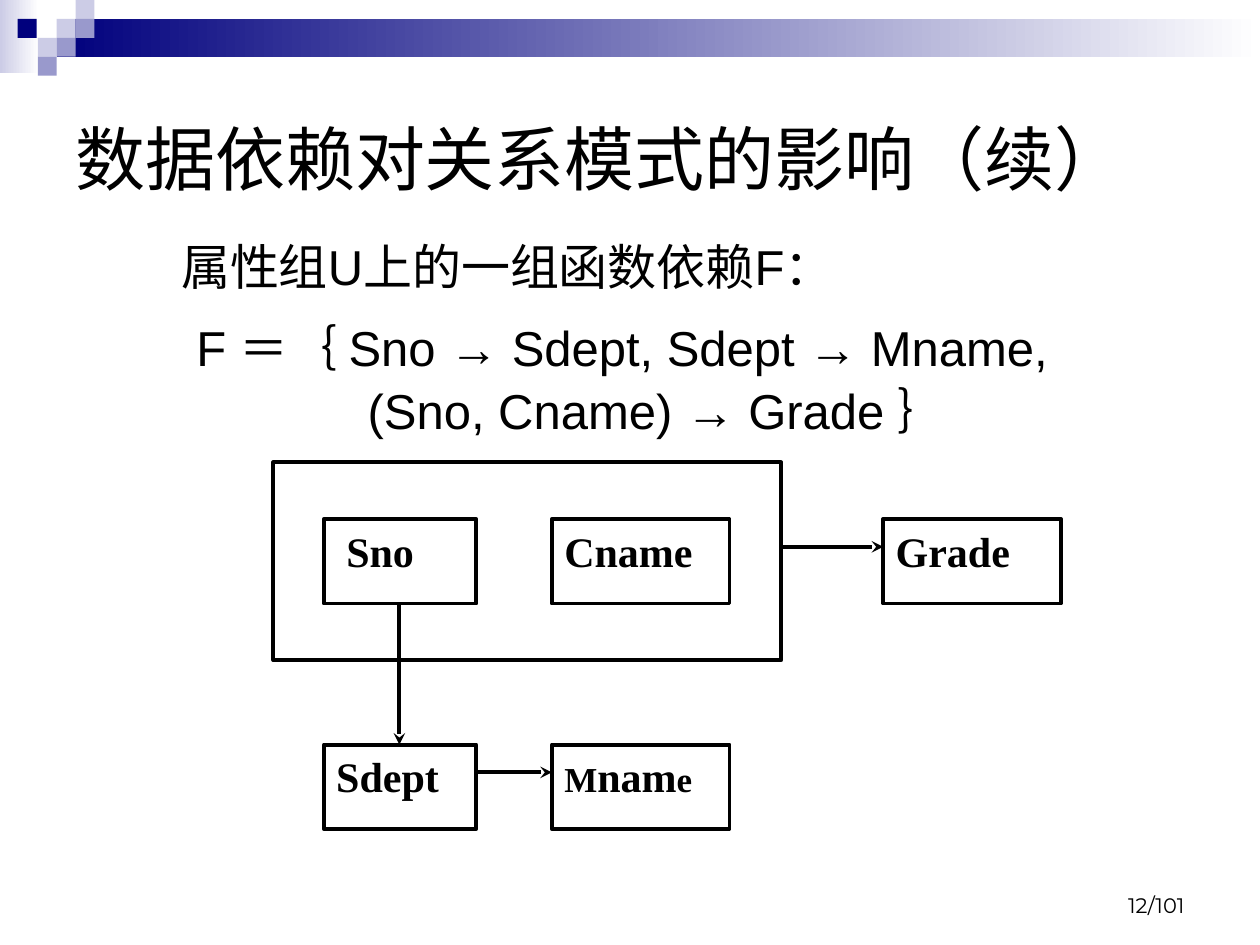
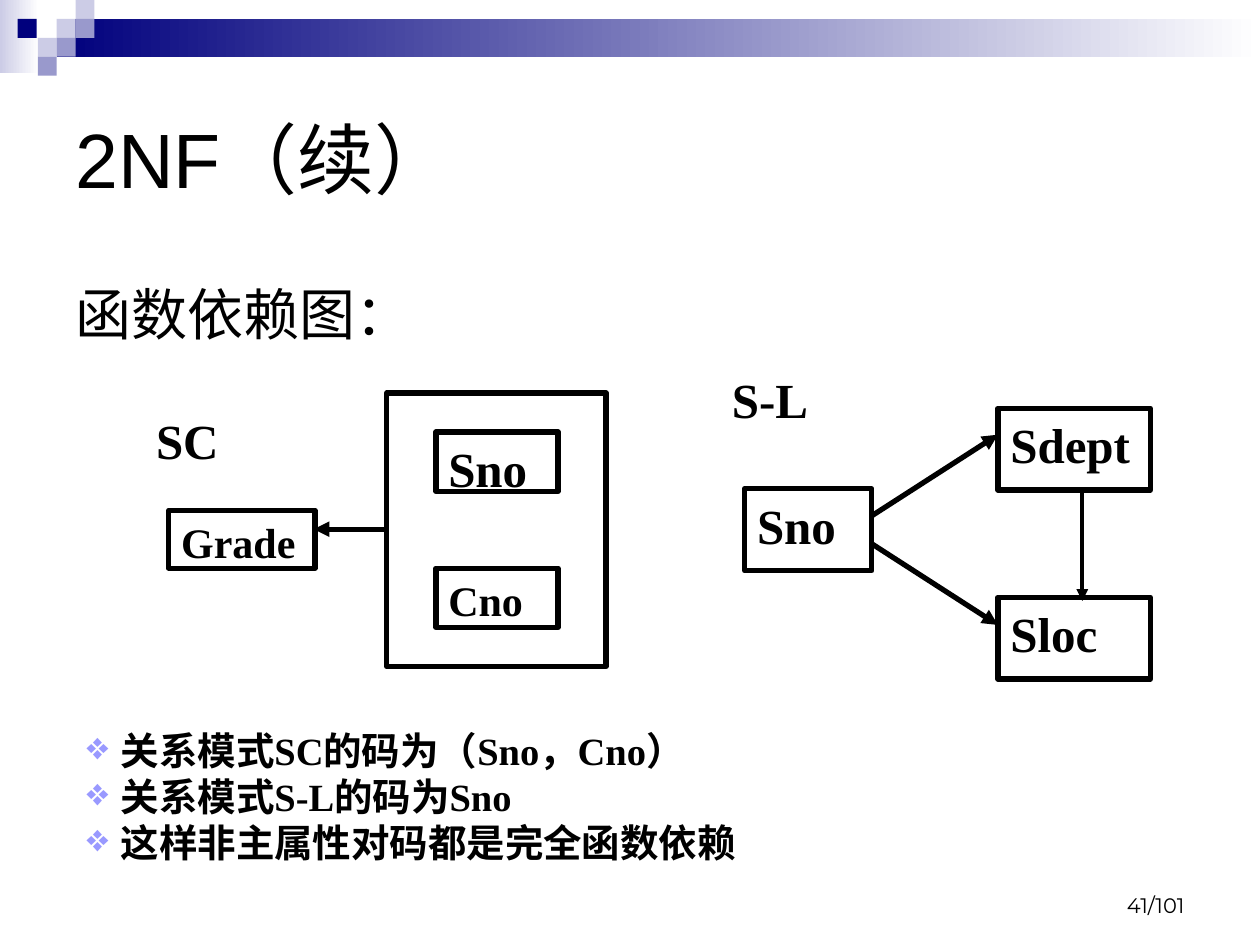
from lxml.etree import SubElement
from pptx import Presentation
from pptx.dml.color import RGBColor
from pptx.enum.shapes import MSO_CONNECTOR, MSO_SHAPE
from pptx.enum.text import MSO_ANCHOR, PP_ALIGN
from pptx.oxml.ns import qn
from pptx.util import Inches, Pt

COLORS = {
    "text": "000000",
    "navy": "00007D",
    "lavender": "CCCCE6",
    "violet": "9999CC",
    "bullet": "9999FF",
    "paper": "FFFFFF",
}
TILE = 0.15
TILES = [
    (0.45, 0.15, "lavender"),
    (0.6, 0, "lavender"),
    (0.6, 0.15, "violet"),
    (0.3, 0.3, "lavender"),
    (0.14, 0.15, "navy"),
    (0.45, 0.3, "violet"),
    (0.3, 0.45, "violet"),
]
TITLE_AREA = (0.5, 0.5, 9, 1.5)
NUMBER_AREA = (7.17, 6.83, 2.33, 0.5)
BODY_FONT = {"name": "Arial", "size": Pt(28)}
LABEL_FONT = {"name": "Times New Roman", "size": Pt(28), "bold": True}
SMALL_LABEL_FONT = LABEL_FONT | {"size": Pt(24)}
LIST_FONT = LABEL_FONT | {"size": Pt(22)}
NUMBER_FONT = {"name": "Montserrat", "size": Pt(12)}
JUSTIFIED = {"alignment": PP_ALIGN.JUSTIFY}


def color(name):
    return RGBColor.from_string(COLORS[name])


def apply_format(target, values):
    for attribute, value in values.items():
        setattr(target, attribute, value)


def set_indent(paragraph, left, hanging=0):
    properties = paragraph._p.get_or_add_pPr()
    properties.set("marL", str(Inches(left)))
    properties.set("indent", str(-Inches(hanging)))


def write_paragraph(paragraph, runs, paragraph_format=None):
    apply_format(paragraph, paragraph_format or {})
    for text, font_format in runs:
        run = paragraph.add_run()
        run.text = text
        apply_format(run.font, font_format)
        run.font.color.rgb = color("text")


def add_bullet(paragraph, symbol):
    set_indent(paragraph, 0.27, 0.27)
    properties = paragraph._p.get_or_add_pPr()
    bullet_color = SubElement(properties, qn("a:buClr"))
    SubElement(bullet_color, qn("a:srgbClr"), val=COLORS["bullet"])
    SubElement(properties, qn("a:buChar"), char=symbol)


def add_text_frame(slide, area, anchor=MSO_ANCHOR.TOP):
    frame = slide.shapes.add_textbox(*map(Inches, area)).text_frame
    apply_format(frame, {"word_wrap": True, "vertical_anchor": anchor})
    return frame


def add_text(slide, area, text, font, anchor=MSO_ANCHOR.TOP, paragraph_format=None):
    frame = add_text_frame(slide, area, anchor)
    write_paragraph(frame.paragraphs[0], [(text, font)], paragraph_format)


def add_rectangle(slide, area):
    shape = slide.shapes.add_shape(MSO_SHAPE.RECTANGLE, *map(Inches, area))
    shape.shadow.inherit = False
    return shape


def add_filled(slide, area, start, end=None):
    shape = add_rectangle(slide, area)
    shape.line.fill.background()
    if end is None:
        shape.fill.solid()
        shape.fill.fore_color.rgb = color(start)
        return
    shape.fill.gradient()
    shape.fill.gradient_angle = 0
    for stop, name in zip(shape.fill.gradient_stops, (start, end)):
        stop.color.rgb = color(name)


def add_box(slide, area, width, runs=(), indent=0):
    shape = add_rectangle(slide, area)
    shape.fill.background()
    shape.line.color.rgb = color("text")
    shape.line.width = Pt(width)
    shape.text_frame.vertical_anchor = MSO_ANCHOR.TOP
    paragraph = shape.text_frame.paragraphs[0]
    write_paragraph(paragraph, runs, JUSTIFIED)
    if indent:
        set_indent(paragraph, indent)


def add_arrow(slide, start, end, width, head):
    points = map(Inches, (*start, *end))
    connector = slide.shapes.add_connector(MSO_CONNECTOR.STRAIGHT, *points)
    connector.line.color.rgb = color("text")
    connector.line.width = Pt(width)
    SubElement(connector.line._get_or_add_ln(), qn("a:tailEnd"), type=head)
    SubElement(connector._element.spPr, qn("a:effectLst"))


def add_base_slide(presentation, title, title_size, number):
    slide = presentation.slides.add_slide(presentation.slide_layouts[6])
    add_filled(slide, (0, 0, 0.31, 0.58), "lavender", "paper")
    add_filled(slide, (0.45, 0.15, 9.55, 0.3), "navy", "paper")
    for left, top, name in TILES:
        add_filled(slide, (left, top, TILE, TILE), name)
    title_font = {"name": "Arial", "size": Pt(title_size)}
    add_text(slide, TITLE_AREA, title, title_font, MSO_ANCHOR.MIDDLE)
    add_text(slide, NUMBER_AREA, number, NUMBER_FONT, MSO_ANCHOR.BOTTOM,
             {"alignment": PP_ALIGN.RIGHT})
    return slide


def add_dependency_set(slide):
    lines = [
        ("属性组U上的一组函数依赖F：", 0.26, {"space_before": Pt(5.6)}),
        ("F ＝｛ Sno → Sdept, Sdept → Mname,", 0.38,
         {"space_before": Pt(5.6), "line_spacing": 1.2}),
        ("(Sno, Cname) → Grade ｝", 1.74, {"space_before": Pt(2.8)}),
    ]
    frame = add_text_frame(slide, (1.08, 1.83, 8.5, 4.5))
    for index, (text, indent, paragraph_format) in enumerate(lines):
        paragraph = frame.add_paragraph() if index else frame.paragraphs[0]
        write_paragraph(paragraph, [(text, BODY_FONT)], paragraph_format)
        set_indent(paragraph, indent)


def add_attribute_diagram(slide):
    line_width, box_height = 2.25, 0.67
    upper, lower = 4.12, 5.91
    sno_column, name_column, grade_column = (2.57, 1.21), (4.38, 1.41), (7.01, 1.41)
    capital_font = LABEL_FONT | {"size": Pt(20)}
    mname = [("M", capital_font), ("nam", SMALL_LABEL_FONT), ("e", capital_font)]
    boxes = [
        (sno_column, upper, [("Sno", SMALL_LABEL_FONT)], 0.08),
        (name_column, upper, [("Cname", SMALL_LABEL_FONT)], 0),
        (grade_column, upper, [("Grade", SMALL_LABEL_FONT)], 0),
        (sno_column, lower, [("Sdept", SMALL_LABEL_FONT)], 0),
        (name_column, lower, mname, 0),
    ]
    add_box(slide, (2.17, 3.67, 4.03, 1.57), line_width)
    for (left, width), top, runs, indent in boxes:
        add_box(slide, (left, top, width, box_height), line_width, runs, indent)
    for start, end in [
        ((3.17, upper + box_height), (3.17, lower)),
        ((3.78, 6.13), (4.38, 6.13)),
        ((6.2, 4.34), (7.01, 4.34)),
    ]:
        add_arrow(slide, start, end, line_width, "stealth")


def add_sc_diagram(slide):
    add_box(slide, (3.07, 3.12, 1.74, 2.17), 3)
    for area, text, font in [
        ((3.46, 3.43, 0.97, 0.47), "Sno", LABEL_FONT),
        ((3.46, 4.51, 0.97, 0.47), "Cno", SMALL_LABEL_FONT),
        ((1.34, 4.05, 1.16, 0.46), "Grade", SMALL_LABEL_FONT),
    ]:
        add_box(slide, area, 3, [(text, font)])
    add_arrow(slide, (3.07, 4.2), (2.49, 4.2), 3, "triangle")
    add_text(slide, (1.14, 3.21, 0.97, 0.46), "SC", LABEL_FONT,
             paragraph_format=JUSTIFIED)


def add_sl_diagram(slide):
    add_text(slide, (5.71, 2.88, 1.21, 0.65), "S-L", LABEL_FONT,
             paragraph_format=JUSTIFIED)
    for left, top, width, text in [
        (5.91, 3.88, 1.01, "Sno"),
        (7.92, 3.24, 1.21, "Sdept"),
        (7.92, 4.74, 1.21, "Sloc"),
    ]:
        add_box(slide, (left, top, width, 0.65), 3, [(text, LABEL_FONT)])
    for start, end, width in [
        ((6.91, 4.1), (7.92, 3.45), 3),
        ((6.91, 4.31), (7.92, 4.96), 3),
        ((8.59, 3.91), (8.59, 4.77), 2.25),
    ]:
        add_arrow(slide, start, end, width, "triangle")


def add_key_list(slide):
    lines = [
        "关系模式SC的码为（Sno，Cno）",
        "关系模式S-L的码为Sno",
        "这样非主属性对码都是完全函数依赖",
    ]
    frame = add_text_frame(slide, (0.59, 5.72, 5.43, 1.2), MSO_ANCHOR.MIDDLE)
    for index, text in enumerate(lines):
        paragraph = frame.add_paragraph() if index else frame.paragraphs[0]
        write_paragraph(paragraph, [(text, LIST_FONT)])
        add_bullet(paragraph, "❖")


def main():
    presentation = Presentation()
    presentation.slide_width = Inches(10)
    presentation.slide_height = Inches(7.5)

    slide = add_base_slide(presentation, "数据依赖对关系模式的影响（续）", 40, "12/101")
    add_dependency_set(slide)
    add_attribute_diagram(slide)

    slide = add_base_slide(presentation, "2NF（续）", 44, "41/101")
    add_text(slide, (0.5, 2.17, 9, 4.25), "函数依赖图：",
             BODY_FONT | {"size": Pt(32)}, paragraph_format={"space_before": Pt(6.4)})
    add_sc_diagram(slide)
    add_sl_diagram(slide)
    add_key_list(slide)

    presentation.save("out.pptx")


if __name__ == "__main__":
    main()
